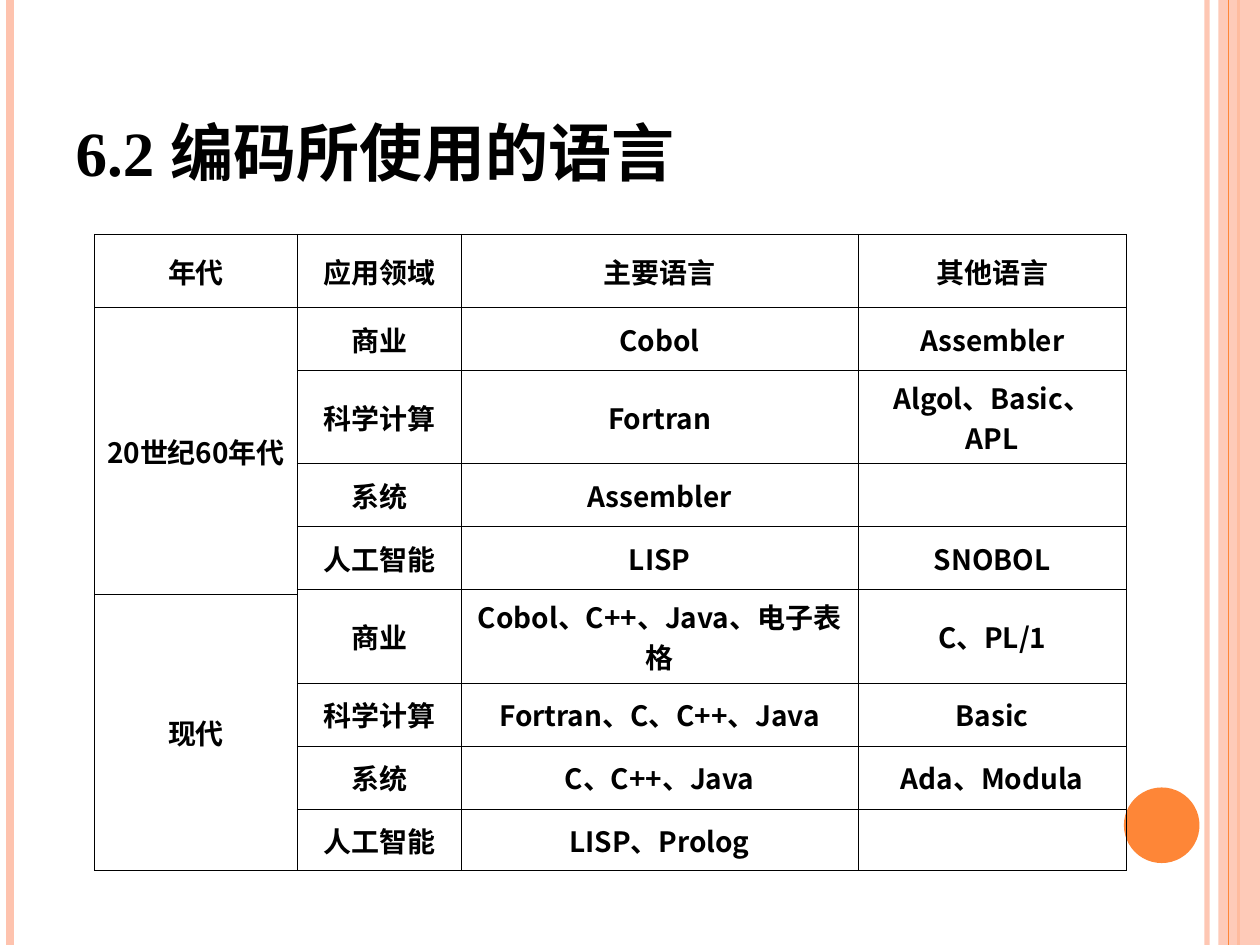
from lxml.etree import SubElement
from pptx import Presentation
from pptx.dml.color import RGBColor
from pptx.enum.shapes import MSO_CONNECTOR, MSO_SHAPE
from pptx.enum.text import MSO_ANCHOR, PP_ALIGN
from pptx.oxml.ns import qn
from pptx.util import Inches, Pt

ORANGE, PEACH, BLACK = "FE8637", "FEC3AE", "000000"
SANS, SERIF = "Noto Sans CJK SC", "Times New Roman"

COLS = [1.61, 1.3, 3.15, 2.13]
ROWS = [0.58, 0.5, 0.61, 0.5, 0.5, 0.04, 0.51, 0.5, 0.5, 0.49]
# Row 5 is a thin strip: the first column splits below it, the others above it.
TEXTS = {
    0: ["年代", "应用领域", "主要语言", "其他语言"],
    1: ["20世纪60年代", "商业", "Cobol", "Assembler"],
    2: ["", "科学计算", "Fortran", "Algol、Basic、APL"],
    3: ["", "系统", "Assembler", ""],
    4: ["", "人工智能", "LISP", "SNOBOL"],
    5: ["", "商业", "Cobol、C++、Java、电子表格", "C、PL/1"],
    6: ["现代", "", "", ""],
    7: ["", "科学计算", "Fortran、C、C++、Java", "Basic"],
    8: ["", "系统", "C、C++、Java", "Ada、Modula"],
    9: ["", "人工智能", "LISP、Prolog", ""],
}
# First row, last row, column
MERGES = [(1, 5, 0), (6, 9, 0)] + [(5, 6, col) for col in (1, 2, 3)]


def paint(color, tint):
    color.rgb = RGBColor.from_string(tint)


def fade(shape, alpha):
    """Set the opacity, in percent, of the only colour in the shape."""
    clr = next(shape._element.spPr.iter(qn("a:srgbClr")))
    SubElement(clr, qn("a:alpha"), val=str(alpha * 1000))


def style(par, size, latin):
    for run in par.runs:
        font = run.font
        font.size, font.bold, font.name = Pt(size), True, latin
        paint(font.color, BLACK)
        SubElement(run._r.rPr, qn("a:ea"), typeface=SANS)


def add_rule(slide, x, tint, width):
    """Draw a vertical line over the full slide height."""
    rule = slide.shapes.add_connector(
        MSO_CONNECTOR.STRAIGHT, Inches(x), 0, Inches(x), Inches(7.5))
    paint(rule.line.color, tint)
    rule.line.width = Pt(width)
    SubElement(rule._element.spPr, qn("a:effectLst"))
    return rule


def add_block(slide, kind, box, tint):
    block = slide.shapes.add_shape(kind, *map(Inches, box))
    block.shadow.inherit = False
    block.fill.solid()
    paint(block.fill.fore_color, tint)
    block.line.fill.background()
    return block


def add_frame(slide):
    """Draw the stripes and the disc around the content."""
    fade(add_rule(slide, 9.58, PEACH, 3), 93)
    add_rule(slide, 0.08, PEACH, 4.5)
    add_rule(slide, 9.83, ORANGE, 1.5)
    fade(add_block(slide, MSO_SHAPE.RECTANGLE, (9.67, 0, 0.33, 7.5), PEACH), 87)
    add_rule(slide, 9.75, ORANGE, 0.75)
    add_block(slide, MSO_SHAPE.OVAL, (8.92, 6.25, 0.6, 0.6), ORANGE)


def set_title(slide, text):
    title = slide.shapes.title
    title.left, title.top = Inches(0.5), Inches(0.3)
    title.width, title.height = Inches(8.17), Inches(1.25)
    frame = title.text_frame
    frame.text = text
    frame.vertical_anchor = MSO_ANCHOR.BOTTOM
    frame.paragraphs[0].alignment = PP_ALIGN.LEFT
    style(frame.paragraphs[0], 36, SERIF)


def add_edges(cell):
    props = cell._tc.get_or_add_tcPr()
    for side in ("lnL", "lnR", "lnT", "lnB"):
        edge = SubElement(props, qn(f"a:{side}"), w=str(Pt(0.45)))
        fill = SubElement(edge, qn("a:solidFill"))
        SubElement(fill, qn("a:srgbClr"), val=BLACK)


def set_cell(cell, text):
    add_edges(cell)
    cell.fill.background()
    cell.vertical_anchor = MSO_ANCHOR.MIDDLE
    cell.margin_left = cell.margin_right = Inches(0.08)
    cell.margin_top = cell.margin_bottom = Inches(0.05)
    if text:
        cell.text_frame.text = text
        par = cell.text_frame.paragraphs[0]
        par.alignment = PP_ALIGN.CENTER
        style(par, 16, SANS)


def add_grid(slide):
    grid = slide.shapes.add_table(
        len(ROWS), len(COLS), Inches(0.75), Inches(1.86),
        Inches(sum(COLS)), Inches(sum(ROWS))).table
    grid.first_row = grid.horz_banding = False
    for col, width in zip(grid.columns, COLS):
        col.width = Inches(width)
    for row, height in zip(grid.rows, ROWS):
        row.height = Inches(height)
    for top, end, col in MERGES:
        grid.cell(top, col).merge(grid.cell(end, col))
    for row, texts in TEXTS.items():
        for col, text in enumerate(texts):
            set_cell(grid.cell(row, col), text)


def main():
    deck = Presentation()
    deck.slide_width, deck.slide_height = Inches(10), Inches(7.5)
    slide = deck.slides.add_slide(deck.slide_layouts[5])
    add_frame(slide)
    set_title(slide, "6.2 编码所使用的语言")
    add_grid(slide)
    deck.save("out.pptx")


if __name__ == "__main__":
    main()
